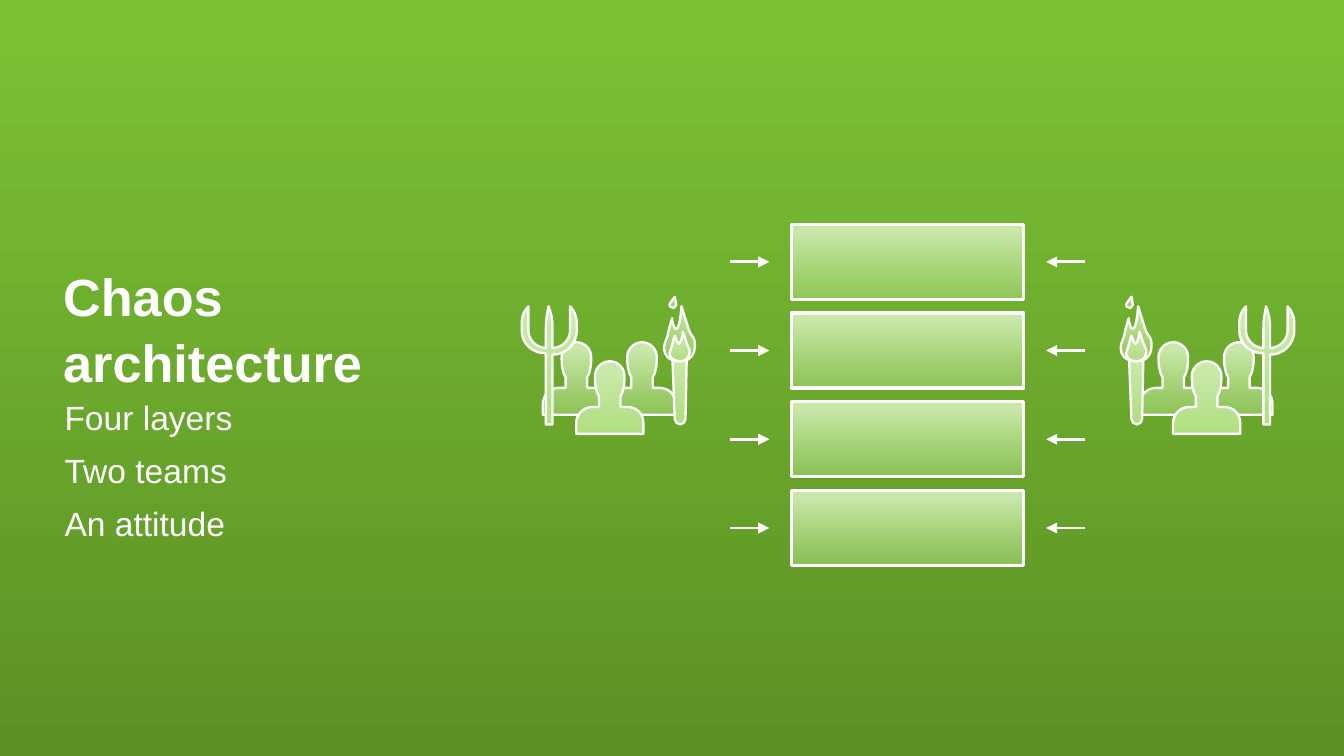
from lxml.etree import Element, SubElement
from pptx import Presentation
from pptx.dml.color import RGBColor
from pptx.enum.shapes import MSO_CONNECTOR, MSO_SHAPE
from pptx.enum.text import MSO_ANCHOR, MSO_AUTO_SIZE, PP_ALIGN
from pptx.oxml.ns import qn
from pptx.util import Cm, Pt

WHITE = "FFFFFF"
PALE = ("CAE9AB", "B0DE81")
UNIT = Cm(2.54) // 100  # outlines are drawn in hundredths of an inch

PERSON = """M 38 34 L 33 34 C 33 31 33 28 33 26 C 36 21 36 15 36 11 C 36 5 31 0 25 0
    C 19 0 14 5 14 11 C 14 15 14 21 17 26 C 17 28 17 31 17 34 L 12 34
    C 6 34 0 39 0 46 L 0 54 L 50 54 L 50 46 C 50 39 45 34 38 34"""
HANDLE = "M 6 40 L 17 40 L 16 91 C 16 93 14 95 12 95 C 10 95 8 93 8 91 L 6 40"
FLAME = """M 23 36 C 23 41 21 48 12 48 C 3 48 0 43 0 38 C 0 34 3 30 3 27
    C 5 19 6 16 6 16 C 6 16 7 24 9 24 C 12 24 13 7 13 7
    C 13 7 17 20 19 26 C 21 30 23 30 23 36"""
INNER_FLAME = """M 19 41 C 19 44 17 48 12 48 C 7 48 4 45 4 42 C 4 40 6 38 6 36
    C 7 31 8 29 8 29 C 8 29 10 35 11 35 C 13 35 14 26 14 26
    C 14 26 16 32 17 35 C 18 38 19 38 19 41"""
SPARK = "M 9 6 C 9 7 7 9 6 8 C 5 8 4 7 4 6 C 4 5 8 0 8 0 C 8 0 9 5 9 6"
PITCHFORK = """M 18 31 C 11 31 5 25 5 18 L 5 0 C 2 3 0 7 0 12 L 0 18
    C 0 28 8 35 18 35 L 18 88 L 23 88 L 23 36 C 33 36 41 28 41 18 L 41 12
    C 41 8 39 3 36 0 L 36 18 C 36 25 30 31 23 31 L 23 16
    C 23 10 22 5 20 0 C 19 5 18 10 18 16 L 18 31"""
TORCH = ((HANDLE, 100), (FLAME, 50), (INNER_FLAME, 100), (SPARK, 50))


def color(value):
    return RGBColor.from_string(value)


def apply(target, values):
    for name, value in values.items():
        setattr(target, name, value)


def fill_downward(fill, colors, start=0):
    fill.gradient()
    fill.gradient_angle = 270
    for stop, value, position in zip(fill.gradient_stops, colors, (start, 1)):
        stop.color.rgb = color(value)
        stop.position = position


def style_pale(shape, line_width, end_opacity):
    """Give a shape the pale gradient and a white outline."""
    shape.shadow.inherit = False
    fill_downward(shape.fill, PALE, start=0.1)
    if end_opacity < 100:
        end_color = shape._element.spPr.findall(".//" + qn("a:srgbClr"))[1]
        SubElement(end_color, qn("a:alpha"), val=str(end_opacity * 1000))
    shape.line.color.rgb = color(WHITE)
    shape.line.width = Pt(line_width)


def read_segments(outline):
    """Return the points of each M, L or C command; the last is its end."""
    segments = []
    for token in outline.split():
        if token.isalpha():
            segments.append([])
        else:
            segments[-1].append(int(token))
    return [list(zip(numbers[::2], numbers[1::2])) for numbers in segments]


def bend(line, controls, end):
    """Make a straight outline segment a cubic curve."""
    line.tag = qn("a:cubicBezTo")
    end_point = line[0]
    for control in controls:
        place = {axis: str(int(end_point.get(axis)) + (value - base) * UNIT)
                 for axis, value, base in zip("xy", control, end)}
        end_point.addprevious(Element(qn("a:pt"), place))


def add_outline(page, outline, left, top, end_opacity):
    segments = read_segments(outline)
    ends = [(Cm(left) + points[-1][0] * UNIT, Cm(top) + points[-1][1] * UNIT)
            for points in segments]
    builder = page.shapes.build_freeform(*ends[0], scale=1.0)
    builder.add_line_segments(ends[1:], close=True)
    shape = builder.convert_to_shape()
    lines = shape._element.spPr.findall(".//" + qn("a:lnTo"))
    for line, (*controls, end) in zip(lines, segments[1:]):
        if controls:
            bend(line, controls, end)
    style_pale(shape, 1.25, end_opacity)


def add_mob(page, box, people, torch, fork):
    """Place three people, a torch and a pitchfork, given their offsets in the box."""
    left, top = box
    people_places = ((0, 0.86, 50), (1.24, 0.86, 50), (0.63, 1.22, 100))
    for across, down, opacity in people_places:
        add_outline(page, PERSON, left + people + across, top + down, opacity)
    for outline, opacity in TORCH:
        # The spark, like the handle, is measured from the corner of the torch.
        inset = min(points[-1][0] for points in read_segments(outline)) * 0
        add_outline(page, outline, left + torch + inset, top, opacity)
    add_outline(page, PITCHFORK, left + fork, top + 0.18, 100)


def add_arrow(page, start, end, y):
    arrow = page.shapes.add_connector(
        MSO_CONNECTOR.STRAIGHT, Cm(start), Cm(y), Cm(end), Cm(y))
    arrow.line.color.rgb = color(WHITE)
    arrow.line.width = Pt(1.5)
    SubElement(arrow.line._get_or_add_ln(), qn("a:tailEnd"), type="triangle")
    SubElement(arrow._element.spPr, qn("a:effectLst"))


def add_layers(page, box, count=4, layer_height=1.42):
    """Stack the layers in the box, with an arrow pointing in from each side."""
    left, top, width, height = box
    pitch = (height - layer_height) / (count - 1)
    near, far = 0.42, 1.16
    for row in range(count):
        y = top + row * pitch
        layer = page.shapes.add_shape(
            MSO_SHAPE.RECTANGLE, Cm(left), Cm(y), Cm(width), Cm(layer_height))
        style_pale(layer, 1.75, 50)
        middle = y + layer_height / 2
        add_arrow(page, left - far, left - near, middle)
        add_arrow(page, left + width + far, left + width + near, middle)


def write_text(shape, box, lines, frame_values, para_values, font_values):
    apply(shape, dict(zip(("left", "top", "width", "height"), map(Cm, box))))
    frame = shape.text_frame
    apply(frame, {"word_wrap": True, "auto_size": MSO_AUTO_SIZE.NONE, **frame_values})
    frame.text = "\n".join(lines)
    for para in frame.paragraphs:
        apply(para, {"alignment": PP_ALIGN.LEFT, "line_spacing": 1.04, **para_values})
        for span in para.runs:
            apply(span.font, {"name": "Arial", **font_values})
            span.font.color.rgb = color(WHITE)


def add_title(page, box):
    write_text(page.shapes.title, box, ["Chaos\varchitecture"],
               {"vertical_anchor": MSO_ANCHOR.BOTTOM, "margin_bottom": Cm(0.2)},
               {}, {"size": Pt(28), "bold": True})


def add_summary(page, box):
    write_text(page.shapes.add_textbox(*map(Cm, box)), box,
               ["Four layers", "Two teams", "An attitude"],
               {"vertical_anchor": MSO_ANCHOR.TOP},
               {"space_after": Pt(6)}, {"size": Pt(18)})


def main():
    deck = Presentation()
    deck.slide_width, deck.slide_height = Cm(25.4), Cm(14.29)
    page = deck.slides.add_slide(deck.slide_layouts[5])
    fill_downward(page.background.fill, ("7BC233", "5C9126"))
    add_layers(page, (14.96, 4.24, 4.39, 6.45))
    add_mob(page, (21.18, 5.61), people=0.36, torch=0, fork=2.24)
    add_mob(page, (9.86, 5.61), people=0.4, torch=2.69, fork=0)
    add_summary(page, (0.97, 7.34, 5.97, 3.91))
    add_title(page, (0.94, 3.71, 9.14, 3.91))
    deck.save("out.pptx")


if __name__ == "__main__":
    main()
